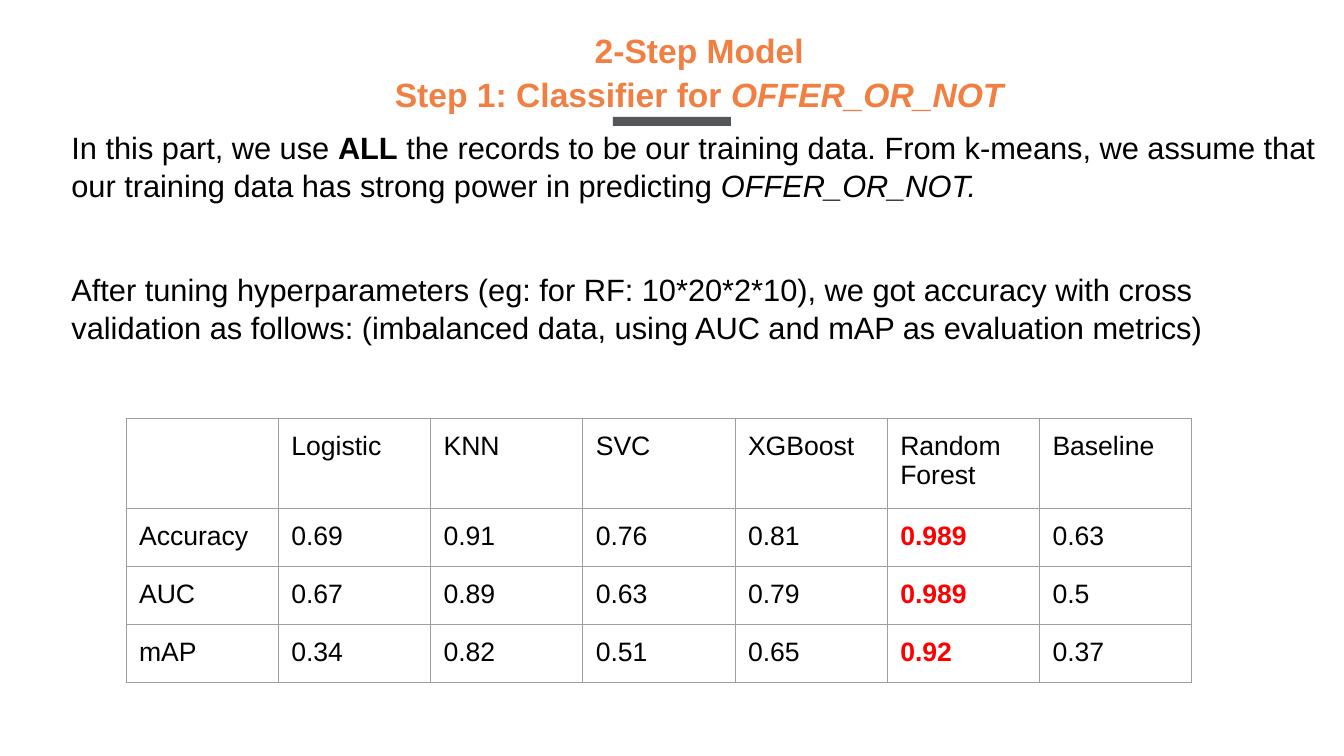
from lxml import etree
from pptx import Presentation
from pptx import util as u
from pptx.dml.color import RGBColor
from pptx.enum import shapes, text
from pptx.oxml.ns import qn

TITLE = [("2-Step Model", ""), ("\n", ""), ("Step 1: Classifier for ", ""), ("OFFER_OR_NOT", "italic")]
INTRO = [
    ("In this part, we use ", ""),
    ("ALL", "bold"),
    (" the records to be our training data. From k-means, we assume that "
     "our training data has strong power in predicting ", ""),
    ("OFFER_OR_NOT.", "italic"),
]
TUNING = [
    ("After tuning hyperparameters (eg: for RF: 10*20*2*10), we got accuracy with cross "
     "validation as follows: (imbalanced data, using AUC and mAP as evaluation metrics)", ""),
]
SCORES = [
    ("", "Logistic", "KNN", "SVC", "XGBoost", "Random Forest", "Baseline"),
    ("Accuracy", "0.69", "0.91", "0.76", "0.81", "0.989", "0.63"),
    ("AUC", "0.67", "0.89", "0.63", "0.79", "0.989", "0.5"),
    ("mAP", "0.34", "0.82", "0.51", "0.65", "0.92", "0.37"),
]
BEST_MODEL = "Random Forest"

THEME = {
    "font": "Arial",
    "title": {"size": 24, "color": "F17F42", "bold": True},
    "body": {"size": 22, "color": "000000", "bold": False},
    "cell": {"size": 19, "color": "000000", "bold": False},
    "best": {"size": 19, "color": "FF0000", "bold": True},
    "bar": "53575A",
    "border": "9E9E9E",
}
BOXES = [
    (TITLE, "title", (2.44, 0.24, 8.99, 0.92), 0.05, 1.07, text.PP_ALIGN.CENTER, text.MSO_ANCHOR.MIDDLE),
    (INTRO, "body", (0.61, 1.22, 12.88, 0.81), 0.05, 1.03, text.PP_ALIGN.LEFT, text.MSO_ANCHOR.TOP),
    (TUNING, "body", (0.61, 2.57, 12.42, 1.18), 0.1, 1.03, text.PP_ALIGN.LEFT, text.MSO_ANCHOR.TOP),
]
BAR = (6.08, 1.16, 1.17, 0.09)
TABLE_LEFT, TABLE_TOP = 1.25, 4.15
COLUMN_WIDTH, HEADER_HEIGHT, ROW_HEIGHT = 1.51, 0.85, 0.56
CELL_MARGIN = 0.13


def inches(values):
    return [u.Inches(value) for value in values]


def set_attributes(target, values):
    for name, value in values.items():
        setattr(target, name, value)


def style_font(font, style, emphasis=""):
    look = THEME[style]
    set_attributes(font, {"name": THEME["font"], "size": u.Pt(look["size"]), "bold": look["bold"]})
    font.color.rgb = RGBColor.from_string(look["color"])
    if emphasis:
        setattr(font, emphasis, True)


def add_text(slide, runs, style, place, margin, spacing, alignment, anchor):
    frame = slide.shapes.add_textbox(*inches(place)).text_frame
    set_attributes(frame, {
        "word_wrap": True, "vertical_anchor": anchor,
        "margin_top": u.Inches(margin), "margin_bottom": u.Inches(margin),
    })
    paragraph = frame.paragraphs[0]
    set_attributes(paragraph, {"alignment": alignment, "line_spacing": spacing})
    for words, emphasis in runs:
        if words == "\n":
            paragraph.add_line_break()
            continue
        run = paragraph.add_run()
        run.text = words
        style_font(run.font, style, emphasis)


def add_borders(cell):
    properties = cell._tc.get_or_add_tcPr()
    for index, side in enumerate(("lnL", "lnR", "lnT", "lnB")):
        line = etree.Element(qn(f"a:{side}"), w=str(u.Pt(0.75)))
        fill = etree.SubElement(line, qn("a:solidFill"))
        etree.SubElement(fill, qn("a:srgbClr"), val=THEME["border"])
        properties.insert(index, line)


def add_scores(slide):
    row_heights = [HEADER_HEIGHT] + [ROW_HEIGHT] * (len(SCORES) - 1)
    columns = len(SCORES[0])
    place = inches((TABLE_LEFT, TABLE_TOP, COLUMN_WIDTH * columns, sum(row_heights)))
    table = slide.shapes.add_table(len(SCORES), columns, *place).table
    set_attributes(table, {"first_row": False, "horz_banding": False})
    for column in table.columns:
        column.width = u.Inches(COLUMN_WIDTH)
    best_column = SCORES[0].index(BEST_MODEL)
    for row_index, values in enumerate(SCORES):
        table.rows[row_index].height = u.Inches(row_heights[row_index])
        for column_index, value in enumerate(values):
            cell = table.cell(row_index, column_index)
            cell.text = value
            sides = ("left", "right", "top", "bottom")
            set_attributes(cell, {f"margin_{side}": u.Inches(CELL_MARGIN) for side in sides})
            cell.fill.background()
            add_borders(cell)
            paragraph = cell.text_frame.paragraphs[0]
            is_best = row_index > 0 and column_index == best_column
            font = paragraph.runs[0].font if value else paragraph.font
            style_font(font, "best" if is_best else "cell")


def main():
    presentation = Presentation()
    set_attributes(presentation, {"slide_width": u.Inches(13.33), "slide_height": u.Inches(7.5)})
    slide = presentation.slides.add_slide(presentation.slide_layouts[6])
    bar = slide.shapes.add_shape(shapes.MSO_SHAPE.RECTANGLE, *inches(BAR))
    bar.shadow.inherit = False
    bar.fill.solid()
    bar.fill.fore_color.rgb = RGBColor.from_string(THEME["bar"])
    bar.line.fill.background()
    for box in BOXES:
        add_text(slide, *box)
    add_scores(slide)
    presentation.save("out.pptx")


if __name__ == "__main__":
    main()
